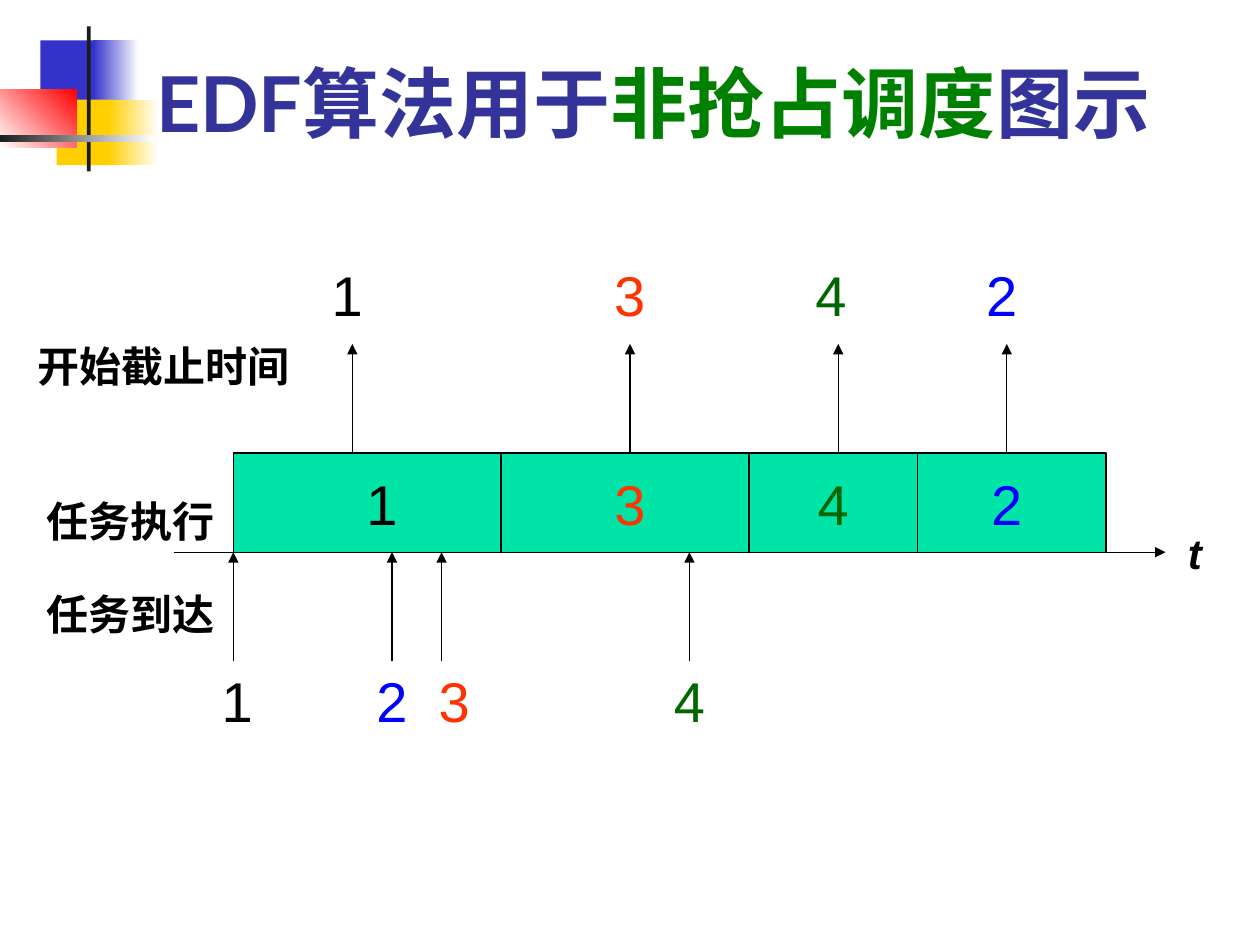
from dataclasses import dataclass
from typing import Optional

from lxml import etree
from pptx import Presentation
from pptx.dml.color import RGBColor
from pptx.enum.shapes import MSO_CONNECTOR, MSO_SHAPE
from pptx.enum.text import MSO_ANCHOR, PP_ALIGN
from pptx.oxml.ns import qn
from pptx.util import Inches, Pt

RECT = MSO_SHAPE.RECTANGLE
LINE = MSO_CONNECTOR.STRAIGHT
TOP, MIDDLE, BOTTOM = MSO_ANCHOR.TOP, MSO_ANCHOR.MIDDLE, MSO_ANCHOR.BOTTOM
LEFT = PP_ALIGN.LEFT

WIDTH, HEIGHT = 10, 7.5
BLACK = "000000"
INSET = 0.1

# The time axis spans 100 columns; rows are the same size, counted from the top arrowheads.
AXIS, END, PEAK = 1.38, 9.25, 2.73
UNIT = (END - AXIS) / 100
HEAD, ROOF, BASE, FOOT = 0, 11, 21, 32
START, STOP = 6, 94
CUTS = [33, 58, 75]
TASKS = {"1": BLACK, "2": "0000FF", "3": "FF3300", "4": "006600"}


@dataclass
class Block:
    """Corner ornament; a second colour makes a gradient."""
    left: float
    top: float
    width: float
    height: float
    color: str
    fade: Optional[str] = None
    angle: int = 0


@dataclass
class Label:
    text: str
    left: float
    top: float
    width: float
    italic: bool = False


@dataclass
class Event:
    """Column of a task's arrow and of its number."""
    task: str
    arrow: float
    digit: float


BLOCKS = [
    Block(0.32, 0.32, 0.48, 0.52, "3333CC"),
    Block(0.74, 0.32, 0.36, 0.52, "3333CC", "FFFFFF"),
    Block(0.45, 0.79, 0.46, 0.52, "FFCF01"),
    Block(0.86, 0.79, 0.4, 0.52, "FFCF01", "FFFFFF"),
    Block(0, 0.71, 0.61, 0.46, "FFFFFF", "FF0000", 45),
    Block(0.69, 0.21, 0.03, 1.15, "1C1C1C"),
    Block(0, 1.07, 1.22, 0.06, "1C1C1C", "FFFFFF"),
]
LABELS = [
    Label("t", 9.33, 4.14, 0.39, italic=True),
    Label("开始截止时间", 0.2, 2.65, 2.6),
    Label("任务执行", 0.27, 3.88, 1.58),
    Label("任务到达", 0.27, 4.62, 1.57),
]
STARTS = [Event("1", 18, 17.5), Event("3", 46, 46),
          Event("4", 67, 66.3), Event("2", 84, 83.5)]
ARRIVALS = [Event("1", 6, 6.4), Event("2", 22, 22),
            Event("3", 27, 28.3), Event("4", 52, 52)]
RUNS = [("1", 21), ("3", 46), ("4", 66.5), ("2", 84)]


def rgb(color: str) -> RGBColor:
    return RGBColor.from_string(color)


def col(num: float) -> float:
    return AXIS + num * UNIT


def row(num: float) -> float:
    return PEAK + num * UNIT


def box(shapes, left: float, top: float, width: float, height: float):
    return shapes.add_textbox(*map(Inches, (left, top, width, height)))


def rect(shapes, left: float, top: float, width: float, height: float):
    shape = shapes.add_shape(RECT, *map(Inches, (left, top, width, height)))
    shape.shadow.inherit = False
    return shape


def write(shape, parts, size=24, font="Arial", bold=False, italic=False,
          anchor=TOP, tabs=()) -> None:
    """Fill a shape with one line of (text, colour) parts; tabs are centred stops."""
    frame = shape.text_frame
    frame.word_wrap = True
    frame.vertical_anchor = anchor
    line = frame.paragraphs[0]
    line.alignment = LEFT
    if tabs:
        stops = etree.SubElement(line._p.get_or_add_pPr(), qn("a:tabLst"))
        for pos in tabs:
            etree.SubElement(stops, qn("a:tab"), pos=str(Inches(pos)), algn="ctr")
    for text, color in parts:
        run = line.add_run()
        run.text = text
        run.font.size = Pt(size)
        run.font.name = font
        run.font.bold = bold
        run.font.italic = italic
        run.font.color.rgb = rgb(color)


def digits(shape, left: float, marks, anchor=TOP) -> None:
    """Write task numbers, each centred on its column."""
    write(shape, [("\t" + task, TASKS[task]) for task, _ in marks], size=32,
          anchor=anchor, tabs=[col(num) - left - INSET for _, num in marks])


def link(shapes, x1: float, y1: float, x2: float, y2: float, arrow=True) -> None:
    """Draw a line between two grid points."""
    ends = (col(x1), row(y1), col(x2), row(y2))
    line = shapes.add_connector(LINE, *map(Inches, ends))
    line.line.color.rgb = rgb(BLACK)
    line.line.width = Pt(0.75)
    if arrow:
        etree.SubElement(line.line._get_or_add_ln(), qn("a:tailEnd"), type="triangle")
    etree.SubElement(line._element.spPr, qn("a:effectLst"))


def decorate(shapes, block: Block) -> None:
    shape = rect(shapes, block.left, block.top, block.width, block.height)
    shape.line.fill.background()
    if block.fade is None:
        shape.fill.solid()
        shape.fill.fore_color.rgb = rgb(block.color)
        return
    shape.fill.gradient()
    shape.fill.gradient_angle = block.angle
    for stop, color in zip(shape.fill.gradient_stops, (block.color, block.fade)):
        stop.color.rgb = rgb(color)


def chart(shapes) -> None:
    """Draw the bar of executed tasks, the time axis, arrows and captions."""
    bar = rect(shapes, col(START), row(ROOF),
               (STOP - START) * UNIT, (BASE - ROOF) * UNIT)
    bar.fill.solid()
    bar.fill.fore_color.rgb = rgb("00E4A8")
    bar.line.color.rgb = rgb(BLACK)
    bar.line.width = Pt(0.75)
    digits(bar, col(START), RUNS, anchor=MIDDLE)

    for cut in CUTS:
        link(shapes, cut, ROOF, cut, BASE, arrow=False)
    link(shapes, 0, BASE, 100, BASE)
    for events, tail, tip in ((ARRIVALS, FOOT, BASE), (STARTS, ROOF, HEAD)):
        for event in events:
            link(shapes, event.arrow, tail, event.arrow, tip)

    for label in LABELS:
        write(box(shapes, label.left, label.top, label.width, 0.5),
              [(label.text, BLACK)], bold=True, italic=label.italic)
    for events, left, top, width in ((STARTS, 2.16, 2.02, 6.06),
                                     (ARRIVALS, 1.53, 5.24, 4.41)):
        digits(box(shapes, left, top, width, 0.64), left,
               [(event.task, event.digit) for event in events])


def main() -> None:
    deck = Presentation()
    deck.slide_width, deck.slide_height = Inches(WIDTH), Inches(HEIGHT)
    shapes = deck.slides.add_slide(deck.slide_layouts[6]).shapes

    corner = shapes.add_group_shape().shapes
    for block in BLOCKS:
        decorate(corner, block)
    write(box(shapes, 1.14, 0.36, 8.59, 0.86),
          [("EDF算法用于", "333399"), ("非抢占调度", "008000"), ("图示", "333399")],
          size=44, font="Lato", bold=True, anchor=BOTTOM)
    chart(shapes.add_group_shape().shapes)
    deck.save("out.pptx")


if __name__ == "__main__":
    main()
